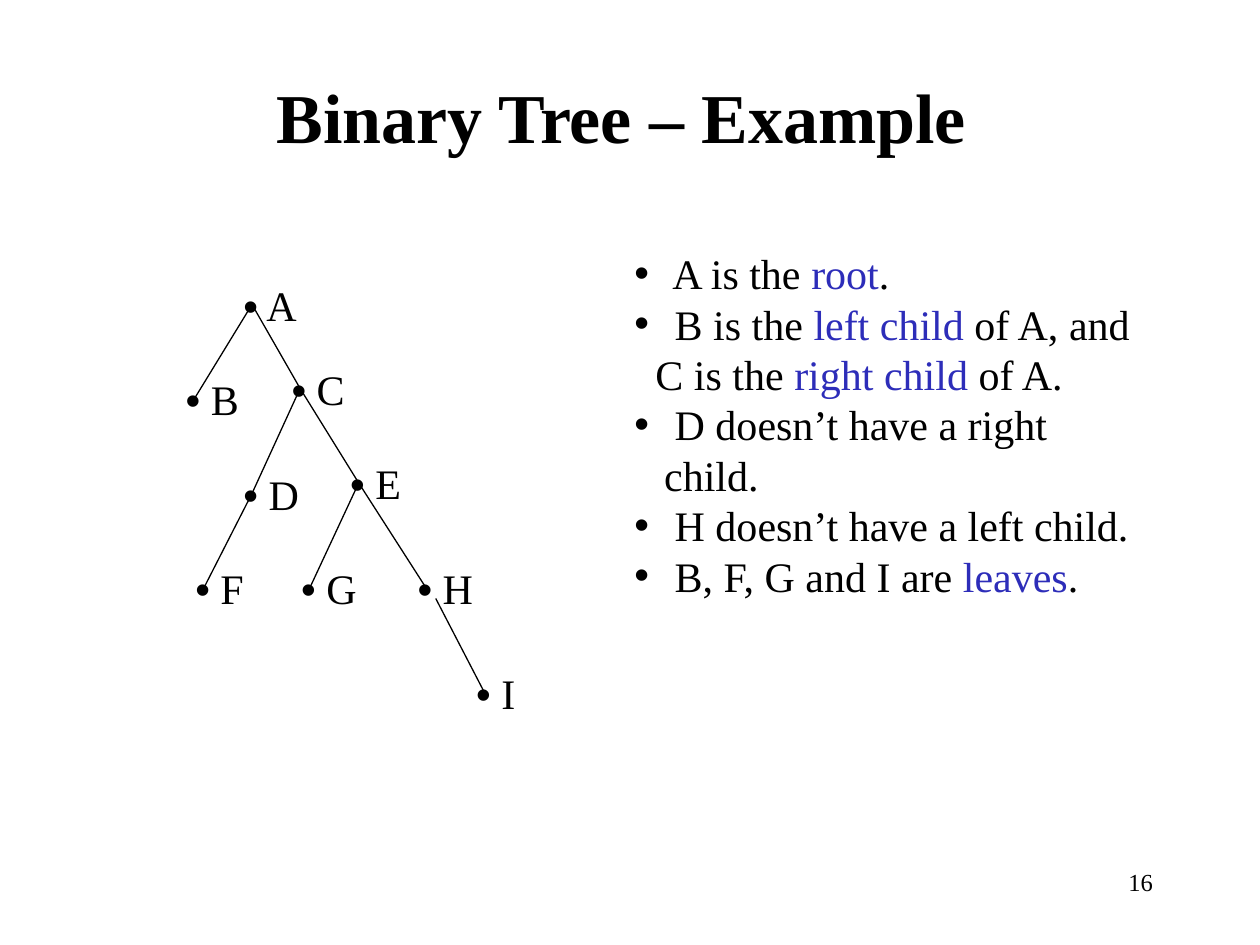
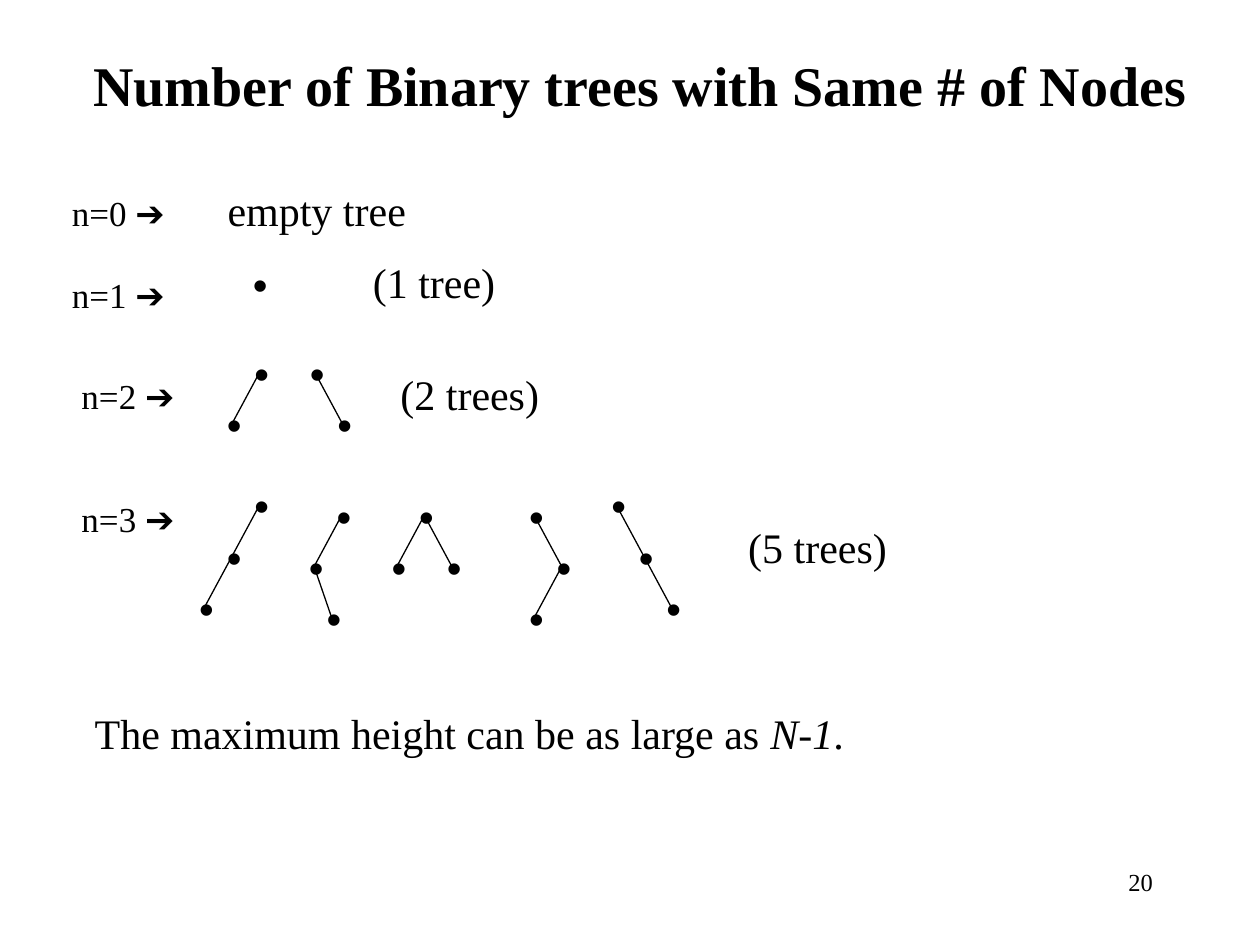
from pptx import Presentation
from pptx.dml.color import RGBColor
from pptx.enum.shapes import MSO_CONNECTOR as Link
from pptx.enum.text import MSO_ANCHOR as Anchor, MSO_AUTO_SIZE as Fit, PP_ALIGN as Align
from pptx.oxml.ns import qn
from pptx.util import Pt
from lxml.etree import SubElement as Sub


def color(code):
    return RGBColor.from_string(code)


class Deck:
    """Holds the shared style and draws on the current slide."""

    SERIF, SANS = "Times New Roman", "Arial"
    BLACK, BLUE = "000000", "2D2DB9"
    DOT = ("•", {"font": SANS})

    def __init__(self):
        self.prs = Presentation()
        self.prs.slide_width, self.prs.slide_height = Pt(720), Pt(540)

    def slide(self, title, box, size, number):
        page = self.prs.slides.add_slide(self.prs.slide_layouts[6])
        self.page = self.home = page.shapes
        self.text((516, 492, 150, 36), [(str(number), {"size": 14})], align=Align.RIGHT)
        head = self.text(box, [(title, {"size": size, "bold": True})], align=Align.CENTER)
        head.vertical_anchor = Anchor.MIDDLE

    def group(self):
        self.home = self.page.add_group_shape().shapes

    def ungroup(self):
        self.home = self.page

    def text(self, box, *paras, wrap=True, align=Align.LEFT):
        frame = self.home.add_textbox(*map(Pt, box)).text_frame
        frame.word_wrap = wrap
        frame.auto_size = Fit.NONE if wrap else Fit.SHAPE_TO_FIT_TEXT
        for i, parts in enumerate(paras):
            para = frame.add_paragraph() if i else frame.paragraphs[0]
            para.alignment = align
            for part in parts:
                self.run(para, *part)
        return frame

    def run(self, para, words, style=None):
        look = {"size": 24, "font": self.SERIF, "color": self.BLACK, **(style or {})}
        run = para.add_run()
        run.text = words
        run.font.size, run.font.name = Pt(look["size"]), look["font"]
        run.font.color.rgb = color(look["color"])
        run.font.bold = look.get("bold", False)
        run.font.italic = look.get("italic", False)

    def bullet(self, para, left):
        props = para._p.get_or_add_pPr()
        props.set("marL", str(Pt(left)))
        props.set("indent", str(Pt(-left)))
        Sub(props, qn("a:buFont")).set("typeface", self.SANS)
        Sub(props, qn("a:buChar")).set("char", "•")

    def indent(self, para, left):
        para._p.get_or_add_pPr().set("marL", str(Pt(left)))

    def tab(self, para, pos):
        stops = Sub(para._p.get_or_add_pPr(), qn("a:tabLst"))
        stop = Sub(stops, qn("a:tab"))
        stop.set("pos", str(Pt(pos)))
        stop.set("algn", "l")

    def line(self, start, end):
        link = self.home.add_connector(Link.STRAIGHT, *map(Pt, (*start, *end)))
        link.line.color.rgb = color(self.BLACK)
        link.line.width = Pt(0.74)
        Sub(link._element.spPr, qn("a:effectLst"))

    def node(self, x, y, name=None):
        if name:
            self.text((x - 12, y - 18, 46, 36), [self.DOT, (" " + name,)], wrap=False)
        else:
            self.text((x - 10, y - 18, 24.5, 36), [self.DOT], wrap=False)

    def tree(self, x, y, *chains):
        self.node(x, y)
        for chain in chains:
            spot = (x, y)
            for step in chain:
                child = (spot[0] + step * 15.75, spot[1] + 29.25)
                self.line(spot, child)
                self.node(*child)
                spot = child

    def label(self, x, y, n, *rest, width=80):
        parts = [(f"n={n} ", {"size": 20}), ("➔", {"size": 20, "font": self.SANS})]
        return self.text((x, y, width, 32), parts + list(rest))


deck = Deck()
blue = {"color": deck.BLUE}

deck.slide("Binary Tree – Example ", (54, 36, 612, 60), 40, 16)
nodes = {"A": (144, 174), "B": (111, 228), "C": (171.5, 222),
         "D": (144, 282), "E": (205, 276), "F": (116.5, 336),
         "G": (177, 336), "H": (243.5, 336), "I": (277, 396)}
deck.group()
for top, low in ("AB", "AC", "CD", "CE", "DF", "EG", "EH"):
    deck.line(nodes[top], nodes[low])
deck.line((249, 342), nodes["I"])
for name, spot in nodes.items():
    deck.node(*spot, name)
deck.ungroup()
facts = deck.text(
    (355.5, 138, 302, 209),
    [(" A is the ",), ("root", blue), (".",)],
    [(" B is the ",), ("left child ", blue), ("of A, and",)],
    [("C is the ",), ("right child ", blue), ("of A.",)],
    [(" D doesn’t have a right child.",)],
    [(" H doesn’t have a left child.",)],
    [(" B, F, G and I are ",), ("leaves", blue), (".",)])
for i, para in enumerate(facts.paragraphs):
    if i == 2:
        deck.indent(para, 12)
    else:
        deck.bullet(para, 17)

deck.slide("Number of Binary trees with Same # of Nodes", (36, 18, 660, 60), 32, 20)
empty = deck.label(34, 102, 0, ("\tempty tree",), width=230)
deck.tab(empty.paragraphs[0], 89)
for x, y, n in ((34, 152.5, 1), (39.5, 210.5, 2), (39.5, 280.5, 3)):
    deck.label(x, y, n)
deck.node(147.5, 162)
deck.group()
deck.tree(148.25, 213, [-1])
deck.tree(180, 213, [1])
deck.group()
deck.tree(148.25, 288.75, [-1, -1])
deck.tree(195.25, 294.5, [-1, 0.64])
deck.tree(242.5, 294.5, [-1], [1])
deck.tree(305.25, 294.5, [1, -1])
deck.tree(352.25, 288.75, [1, 1])
deck.ungroup()
for x, y, words in ((206, 143, "(1 tree)"), (221.75, 207, "(2 trees)"),
                    (420.5, 294.5, "(5 trees)")):
    deck.text((x, y, 93.5, 36), [(words,)], wrap=False)
deck.text((47, 400.5, 619, 36), [("The maximum height can be as large as ",),
                                 ("N-1", {"italic": True}), (".",)])

deck.prs.save("out.pptx")
